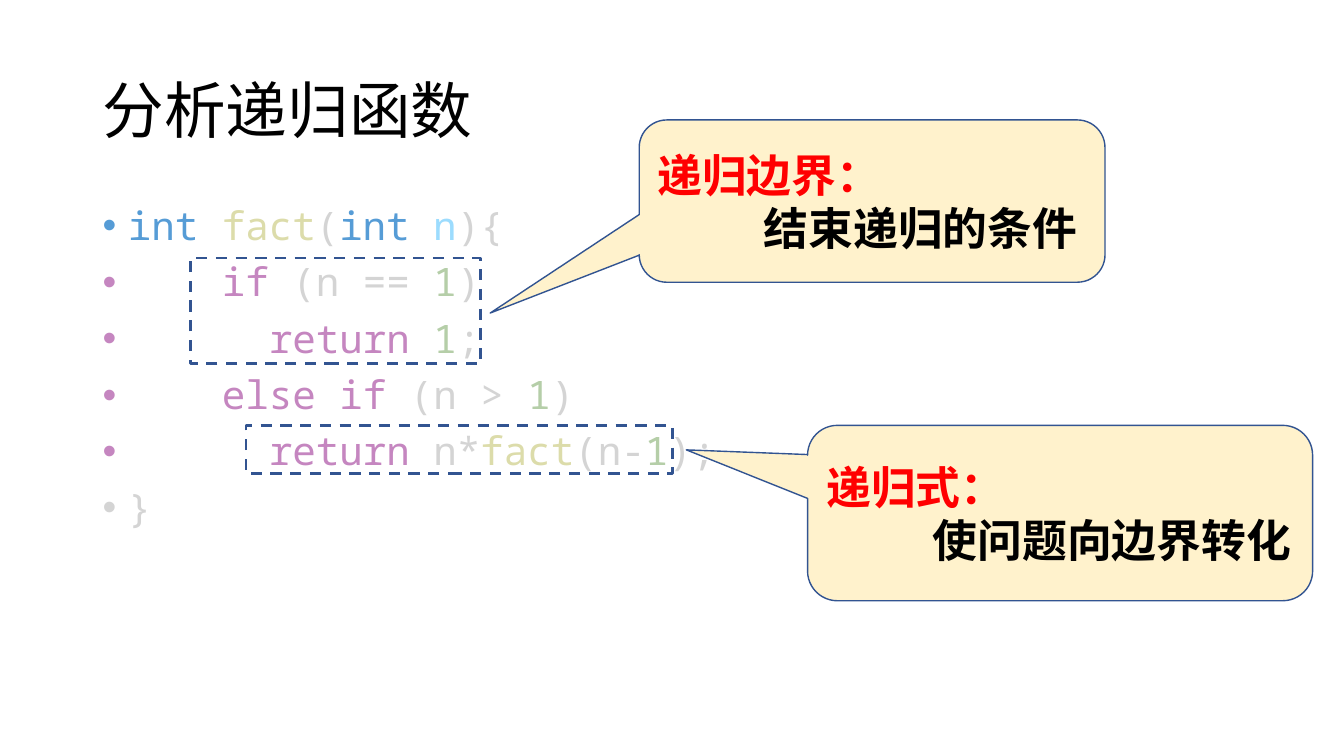
import pptx
import pptx.util
import pptx.dml.color
import pptx.enum.dml
import pptx.enum.shapes
import pptx.enum.text
import pptx.oxml
import pptx.oxml.ns

WIDE, HIGH = pptx.util.Inches(13.33), pptx.util.Inches(7.5)
SANS, MONO = "Noto Sans CJK SC", "Noto Sans Mono"
HUES = {
    "ink": "000000", "red": "FF0000", "cream": "FFF2CC", "navy": "325491",
    "type": "569CD6", "func": "DCDCAA", "plain": "D4D4D4",
    "name": "9CDCFE", "flow": "C586C0", "num": "B5CEA8",
}
HANG = 18       # points between a bullet and its text
CELL = 0.6      # width of a code letter in ems

# Each line of code: indent in letters, then its coloured parts
CODE = [
    (0, [("int ", "type"), ("fact", "func"), ("(", "plain"),
         ("int ", "type"), ("n", "name"), ("){", "plain")]),
    (4, [("if", "flow"), (" (n == ", "plain"), ("1", "num"), (")", "plain")]),
    (6, [("return ", "flow"), ("1", "num"), (";", "plain")]),
    (4, [("else if", "flow"), (" (n > ", "plain"), ("1", "num"),
         (")", "plain")]),
    (6, [("return", "flow"), (" n*", "plain"), ("fact", "func"),
         ("(n-", "plain"), ("1", "num"), (");", "plain")]),
    (0, [("}", "plain")]),
]


def hue(key):
    """Give the colour that a key stands for."""
    return pptx.dml.color.RGBColor.from_string(HUES[key])


def place(box):
    """Turn left, top, width, height in percent of the slide into lengths."""
    return [int(share * side / 100)
            for share, side in zip(box, (WIDE, HIGH, WIDE, HIGH))]


def write(para, parts, size=28, font=SANS, bold=False, left=0, hang=0,
          lead=1.0, before=0, dot=None):
    """Fill a paragraph with coloured parts; left and hang are in points."""
    para.alignment = pptx.enum.text.PP_ALIGN.LEFT
    para.line_spacing = lead
    para.space_before = pptx.util.Pt(before)
    props = para._p.get_or_add_pPr()
    props.set("marL", str(pptx.util.Pt(left)))
    props.set("indent", str(pptx.util.Pt(-hang)))
    if dot:
        for tag, key, value in (("buFont", "typeface", "Arial"),
                                ("buChar", "char", dot)):
            mark = pptx.oxml.ns.qn("a:" + tag)
            props.append(props.makeelement(mark, {key: value}))
    for words, key in parts:
        run = para.add_run()
        run.text = words
        run.font.size = pptx.util.Pt(size)
        run.font.bold = bold
        run.font.color.rgb = hue(key)
        run.font.name = font
        east = pptx.oxml.ns.qn("a:ea")
        rule = run._r.get_or_add_rPr()
        rule.append(rule.makeelement(east, {"typeface": font}))


def frame(slide, box, middle=False):
    """Add a wrapping text box and return its text frame."""
    text = slide.shapes.add_textbox(*place(box)).text_frame
    text.word_wrap = True
    if middle:
        text.vertical_anchor = pptx.enum.text.MSO_ANCHOR.MIDDLE
    return text


def shape(slide, kind, box, width, fill=None):
    """Add a navy outlined shape, filled or hollow."""
    item = slide.shapes.add_shape(kind, *place(box))
    item.shadow.inherit = False
    item.line.color.rgb = hue("navy")
    item.line.width = pptx.util.Pt(width)
    if fill:
        item.fill.solid()
        item.fill.fore_color.rgb = hue(fill)
    else:
        item.fill.background()
    return item


def title(slide, box, words):
    """Set the heading in its box."""
    text = frame(slide, box, middle=True)
    write(text.paragraphs[0], [(words, "ink")], size=44, lead=0.9)


def code(slide, box, size=28):
    """List the function as bulleted lines, indented by letter cells."""
    text = frame(slide, box)
    for row, (cells, parts) in enumerate(CODE):
        para = text.add_paragraph() if row else text.paragraphs[0]
        left = HANG + cells * CELL * size
        write(para, parts, size=size, font=MONO, left=left, hang=left,
              lead=0.9, before=10, dot="•")


def dash(slide, box):
    """Ring a piece of code with a dashed box."""
    ring = shape(slide, pptx.enum.shapes.MSO_SHAPE.RECTANGLE, box, 2)
    ring.line.dash_style = pptx.enum.dml.MSO_LINE.DASH


def callout(slide, box, tip, head, note):
    """Explain in a bubble whose tip is in shares of it from its centre."""
    kind = pptx.enum.shapes.MSO_SHAPE.ROUNDED_RECTANGULAR_CALLOUT
    item = shape(slide, kind, box, 1, "cream")
    for spot, share in enumerate((*tip, 0.17)):
        item.adjustments[spot] = share
    text = item.text_frame
    text.word_wrap = True
    text.vertical_anchor = pptx.enum.text.MSO_ANCHOR.MIDDLE
    write(text.paragraphs[0], [(head, "red")], size=32, bold=True)
    write(text.add_paragraph(), [(note, "ink")], size=32, bold=True, left=76)


def main():
    """Build the slide and save it."""
    deck = pptx.Presentation()
    deck.slide_width, deck.slide_height = WIDE, HIGH
    slide = deck.slides.add_slide(deck.slide_layouts[6])
    title(slide, (6.9, 5.33, 86.25, 19.33), "分析递归函数")
    code(slide, (6.9, 26.67, 86.25, 63.47))
    dash(slide, (14.18, 34.13, 21.6, 14))
    callout(slide, (47.56, 15.87, 34.66, 21.47), (-0.82, 0.69),
            "递归边界：", "结束递归的条件")
    dash(slide, (18.3, 56.27, 31.73, 6.4))
    callout(slide, (60.09, 56.27, 37.58, 23.2), (-0.74, -0.36),
            "递归式：", "使问题向边界转化")
    deck.save("out.pptx")


main()
